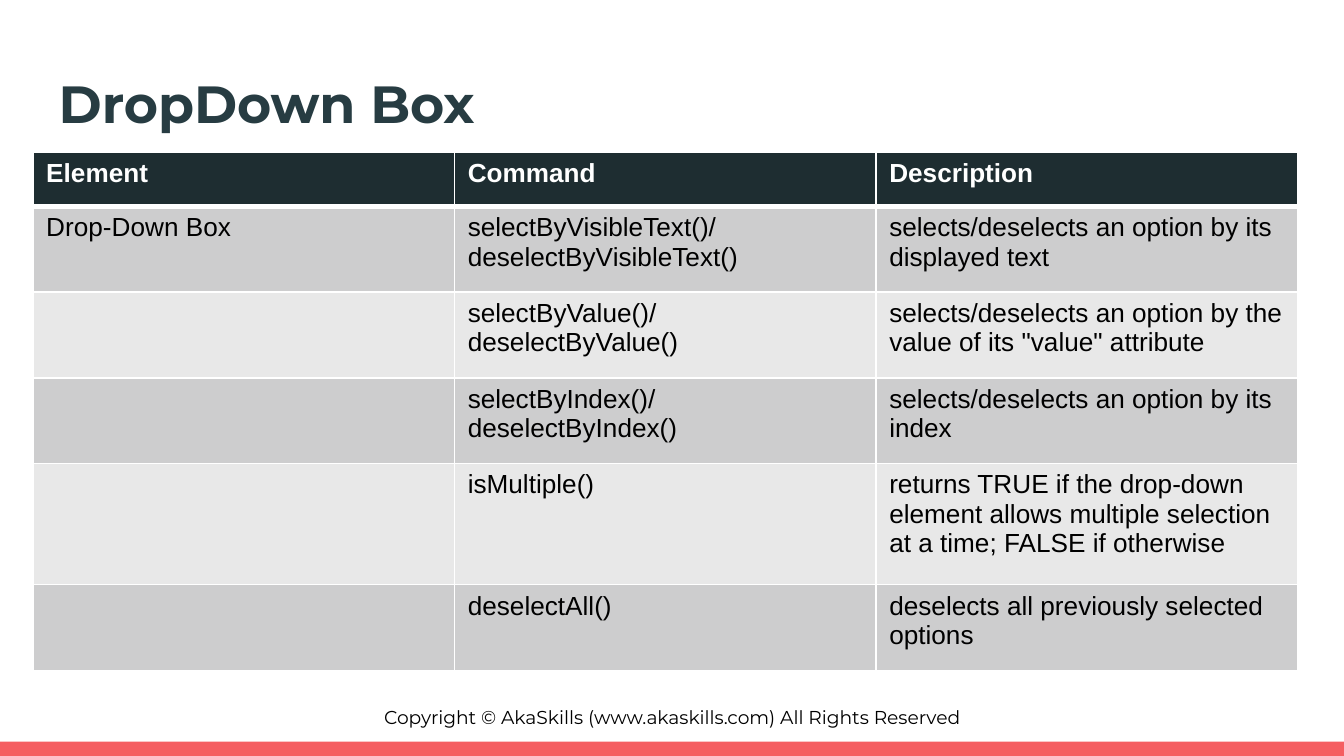
from lxml.etree import SubElement
from pptx import Presentation
from pptx.dml.color import RGBColor
from pptx.enum.shapes import MSO_SHAPE
from pptx.enum.text import MSO_ANCHOR, PP_ALIGN
from pptx.oxml.ns import qn
from pptx.util import Cm, Pt

# Content
TITLE = "DropDown Box"
FOOTER = "Copyright © AkaSkills (www.akaskills.com) All Rights Reserved"
ROWS = [
    ("Element", "Command", "Description"),
    ("Drop-Down Box", "selectByVisibleText()/ deselectByVisibleText()",
     "selects/deselects an option by its displayed text"),
    ("", "selectByValue()/ deselectByValue()",
     'selects/deselects an option by the value of its "value" attribute'),
    ("", "selectByIndex()/ deselectByIndex()",
     "selects/deselects an option by its index"),
    ("", "isMultiple()",
     "returns TRUE if the drop-down element allows multiple selection "
     "at a time; FALSE if otherwise"),
    ("", "deselectAll()", "deselects all previously selected options"),
]
ROW_HEIGHTS = [1.02, 1.62, 1.62, 1.62, 2.29, 1.62]
TABLE_WIDTH = 23.9
HEADER_FILL = "1E2D31"
BAND_FILLS = ["CDCDCE", "E8E8E8"]
SLIDE_W, SLIDE_H = 25.4, 14.29


def color(value):
    return RGBColor.from_string(value)


def box(left, top, width, height):
    return Cm(left), Cm(top), Cm(width), Cm(height)


def style(p, name, size, hex_color, bold=False):
    p.font.name = name
    p.font.size = Pt(size)
    p.font.bold = bold
    p.font.color.rgb = color(hex_color)


def set_frame(tf, text):
    tf.word_wrap = True
    tf.vertical_anchor = MSO_ANCHOR.TOP
    tf.margin_left = tf.margin_right = tf.margin_top = tf.margin_bottom = Cm(0.25)
    tf.text = text
    return tf.paragraphs[0]


def set_borders(cell, top, bottom):
    tc_pr = cell._tc.get_or_add_tcPr()
    for side, width in (("L", 1), ("R", 1), ("T", top), ("B", bottom)):
        ln = SubElement(tc_pr, qn(f"a:ln{side}"), w=str(Pt(width)))
        fill = SubElement(ln, qn("a:solidFill"))
        SubElement(fill, qn("a:srgbClr"), val="FFFFFF")


prs = Presentation()
prs.slide_width, prs.slide_height = Cm(SLIDE_W), Cm(SLIDE_H)
s = prs.slides.add_slide(prs.slide_layouts[5])

# Footer and bottom bar
footer = s.shapes.add_textbox(*box(0, 13.13, SLIDE_W, 0.84))
p = set_frame(footer.text_frame, FOOTER)
p.alignment = PP_ALIGN.CENTER
style(p, "Montserrat", 10, "000000")

bar = s.shapes.add_shape(MSO_SHAPE.RECTANGLE, *box(0, 14.02, SLIDE_W, 0.27))
bar.shadow.inherit = False
bar.fill.solid()
bar.fill.fore_color.rgb = color("F55E61")
bar.line.fill.background()

# Title
title = s.shapes.title
title.left, title.top, title.width, title.height = box(0.86, 1.09, 23.67, 1.65)
p = set_frame(title.text_frame, TITLE)
p.alignment = PP_ALIGN.LEFT
style(p, "Montserrat", 28, "273C42", bold=True)

# Command table
n_cols = len(ROWS[0])
table = s.shapes.add_table(len(ROWS), n_cols,
                           *box(0.62, 2.88, TABLE_WIDTH, sum(ROW_HEIGHTS))).table
for column in table.columns:
    column.width = Cm(TABLE_WIDTH / n_cols)
for i, (texts, height) in enumerate(zip(ROWS, ROW_HEIGHTS)):
    table.rows[i].height = Cm(height)
    header = i == 0
    fill = HEADER_FILL if header else BAND_FILLS[(i - 1) % 2]
    for j, text in enumerate(texts):
        cell = table.cell(i, j)
        set_borders(cell, top=3 if i == 1 else 1, bottom=3 if header else 1)
        cell.fill.solid()
        cell.fill.fore_color.rgb = color(fill)
        cell.text = text
        style(cell.text_frame.paragraphs[0], "Arial", 14,
              "FFFFFF" if header else "000000", bold=header)

prs.save("out.pptx")
